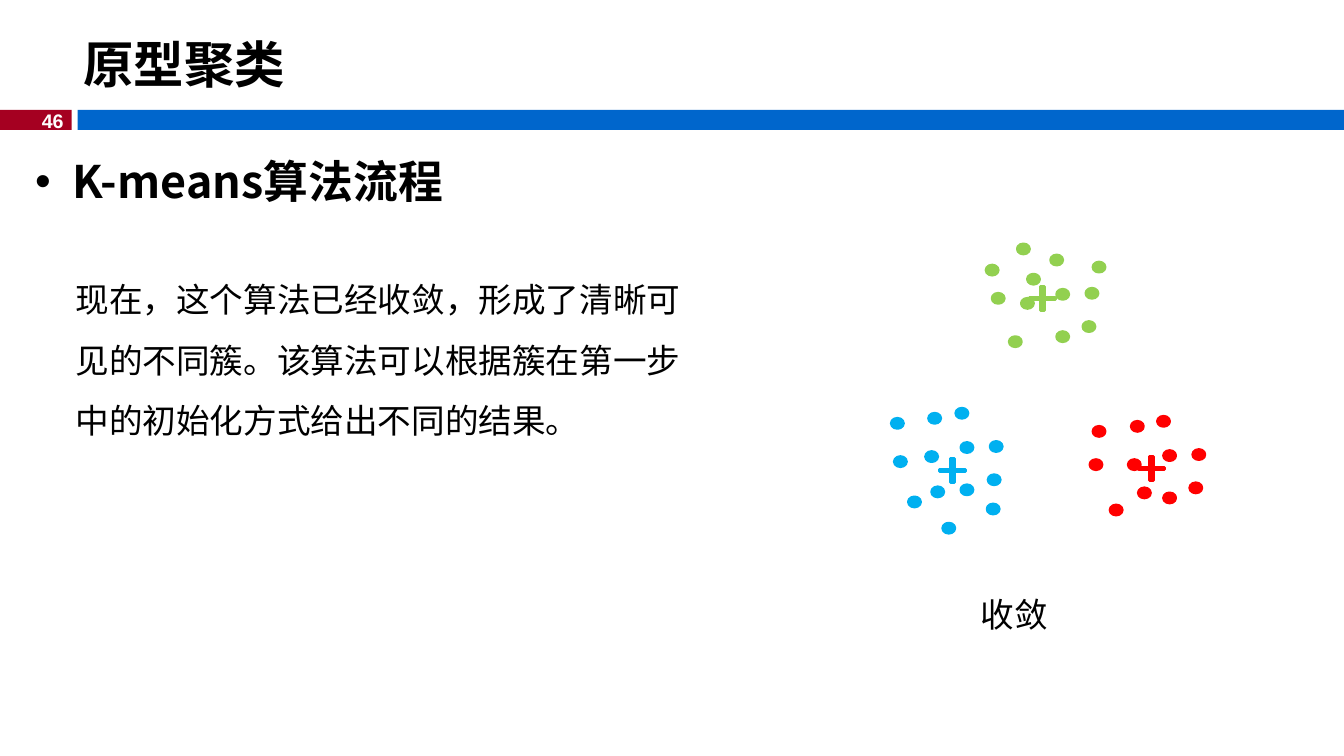
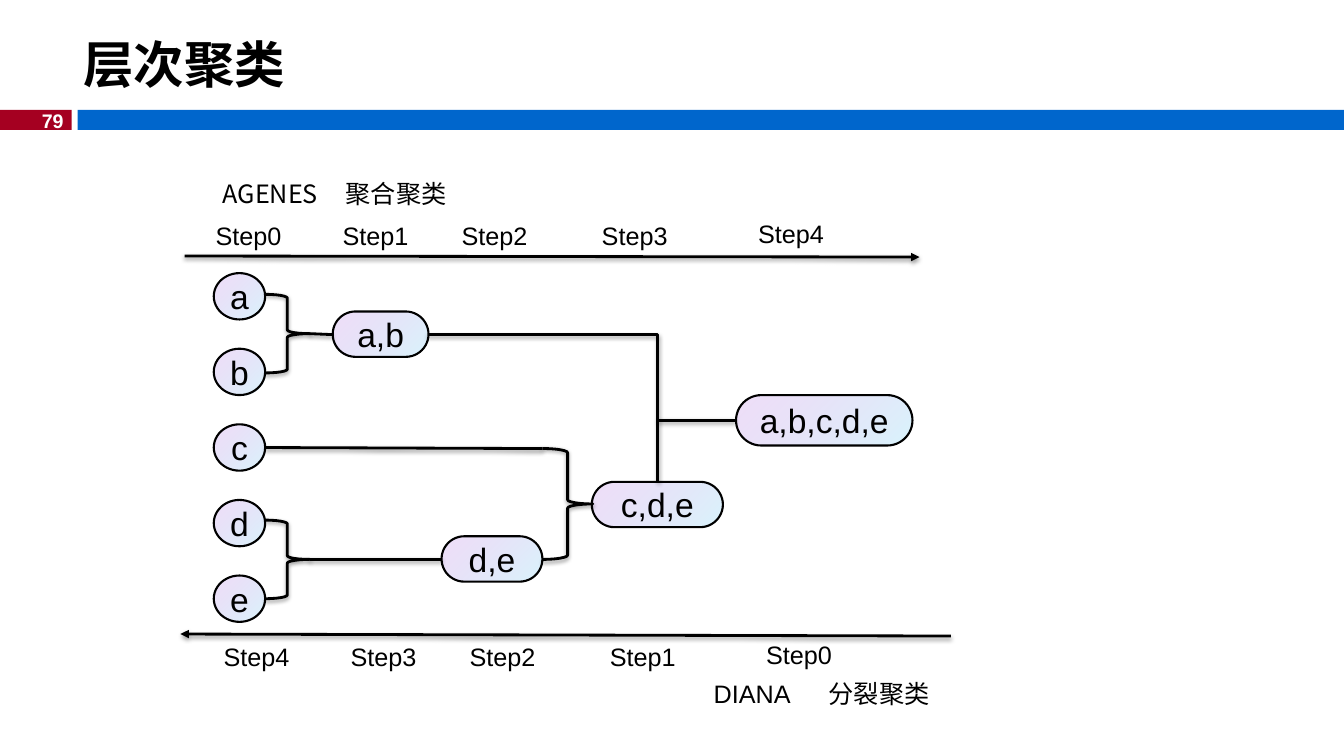
from typing import NamedTuple

from lxml import etree
from pptx import Presentation
from pptx.dml.color import RGBColor
from pptx.enum.shapes import MSO_CONNECTOR, MSO_SHAPE
from pptx.enum.text import MSO_ANCHOR, PP_ALIGN
from pptx.oxml.ns import qn
from pptx.util import Inches, Pt

COLORS = {
    "black": "000000",
    "white": "FFFFFF",
    "page_tab": "A50021",
    "band": "0066CC",
    "blue": "00B0F0",
    "green": "92D050",
    "red": "FF0000",
    "node_cyan": "69D4F4",
    "node_violet": "9F39D5",
}
LATIN = "Arial"
CJK = "Noto Sans CJK SC"


class Box(NamedTuple):
    left: float
    top: float
    width: float
    height: float


class Style(NamedTuple):
    size: float
    font: str = LATIN
    bold: bool = False
    color: str = "black"
    align: PP_ALIGN = PP_ALIGN.LEFT


class Cluster(NamedTuple):
    color: str
    center: tuple[float, float]
    points: list[tuple[float, float]]


class Node(NamedTuple):
    label: str
    box: Box
    outline: MSO_SHAPE = MSO_SHAPE.ROUNDED_RECTANGLE


class Link(NamedTuple):
    start: tuple[float, float]
    end: tuple[float, float]
    arrow: bool = False
    elbow: bool = False


class StepAxis(NamedTuple):
    arrow: Link
    lefts: list[float]
    top: float
    labels: list[str]


TITLE = Style(36, CJK, True)
HEADING = Style(32, CJK, True)
BODY = Style(24)
LABEL = Style(18)
PAGE = Style(14, LATIN, True, "white", PP_ALIGN.RIGHT)
NODE = Style(24, align=PP_ALIGN.CENTER)

DOT_SIZE = (0.12, 0.1)
PLUS_SIZE = (0.26, 0.24)
CLUSTERS = [
    Cluster("blue", (9.32, 4.55), [
        (9.21, 4.1), (9.48, 4.05), (8.84, 4.15), (9.18, 4.48), (9.53, 4.81),
        (9.82, 4.38), (9.35, 5.19), (9.8, 4.71), (9.79, 5), (9.53, 4.39),
        (9.01, 4.93), (8.87, 4.53), (9.24, 4.83)]),
    Cluster("green", (10.21, 2.84), [
        (10.09, 2.42), (10.42, 2.53), (9.78, 2.63), (10.13, 2.96), (10.48, 3.29),
        (10.77, 2.86), (10.84, 2.6), (10.74, 3.19), (9.84, 2.91), (10.48, 2.87),
        (10.01, 3.34), (10.19, 2.72)]),
    Cluster("red", (11.29, 4.53), [
        (11.22, 4.18), (11.48, 4.13), (10.84, 4.23), (11.19, 4.56), (11.54, 4.89),
        (11.83, 4.46), (11.29, 4.84), (11.8, 4.79), (10.81, 4.56), (11.54, 4.47),
        (11.01, 5.01)]),
]

LEAF_TOP, LEAF_PITCH = 2.71, 0.75
LEAVES = [
    Node(letter, Box(2.12, LEAF_TOP + LEAF_PITCH * row, 0.51, 0.46), MSO_SHAPE.OVAL)
    for row, letter in enumerate("abcde")
]
MERGED = [
    Node("a,b", Box(3.3, 3.09, 0.95, 0.45)),
    Node("d,e", Box(4.38, 5.32, 1, 0.45)),
    Node("c,d,e", Box(5.87, 4.78, 1.3, 0.45)),
    Node("a,b,c,d,e", Box(7.3, 3.92, 1.75, 0.5)),
]
BRACES = [Box(2.63, 2.92, 0.44, 0.78), Box(2.63, 5.16, 0.44, 0.78), Box(5.38, 4.45, 0.5, 1.1)]
LINKS = [
    Link((3.07, 3.31), (3.3, 3.32)),
    Link((3.07, 5.55), (4.38, 5.55)),
    Link((2.63, 4.44), (5.38, 4.45)),
    Link((4.24, 3.32), (6.52, 4.78), elbow=True),
    Link((7.3, 4.17), (6.53, 4.17)),
]
STEP_LEFTS = [2.04, 3.3, 4.48, 5.87, 7.42]
STEPS = [f"Step{number}" for number in range(5)]
AXES = [
    StepAxis(Link((1.83, 2.54), (9.12, 2.55), arrow=True), STEP_LEFTS, 2.14, STEPS),
    StepAxis(Link((9.43, 6.31), (1.79, 6.29), arrow=True),
             [left + 0.08 for left in STEP_LEFTS], 6.31, STEPS[::-1]),
]
METHOD_LABELS = [
    ("AGENES", Box(2.11, 1.72, 1.24, 0.4), Style(18, CJK)),
    ("聚合聚类", Box(3.33, 1.72, 1.66, 0.4), Style(18, CJK)),
    ("DIANA", Box(6.98, 6.68, 1.24, 0.4), LABEL),
    ("分裂聚类", Box(8.12, 6.68, 1.66, 0.4), LABEL),
]


def rgb(color: str) -> RGBColor:
    return RGBColor.from_string(COLORS[color])


def inches(values) -> list:
    return [Inches(value) for value in values]


def write(frame, text: str, style: Style) -> None:
    frame.text = text
    paragraph = frame.paragraphs[0]
    paragraph.alignment = style.align
    for run in paragraph.runs:
        run.font.size = Pt(style.size)
        run.font.bold = style.bold
        run.font.name = style.font
        run.font.color.rgb = rgb(style.color)
        latin = run.font._element.find(qn("a:latin"))
        east_asian = etree.Element(qn("a:ea"), typeface=CJK)
        latin.addnext(east_asian)


def add_text(slide, text: str, box: Box, style: Style, wrap: bool = True):
    frame = slide.shapes.add_textbox(*inches(box)).text_frame
    frame.word_wrap = wrap
    write(frame, text, style)
    return frame


def add_filled(slide, outline: MSO_SHAPE, box: Box, color: str, line_width: float = 0):
    shape = slide.shapes.add_shape(outline, *inches(box))
    shape.shadow.inherit = False
    shape.fill.solid()
    shape.fill.fore_color.rgb = rgb(color)
    if line_width:
        shape.line.color.rgb = rgb(color)
        shape.line.width = Pt(line_width)
    else:
        shape.line.fill.background()
    return shape


def ink_with_shadow(shape) -> None:
    """Give a line or brace its black stroke and soft shadow below."""
    shape.line.color.rgb = rgb("black")
    shape.line.width = Pt(2)
    effects = etree.SubElement(shape._element.spPr, qn("a:effectLst"))
    shadow = etree.SubElement(
        effects, qn("a:outerShdw"), blurRad=str(Pt(3.1)), dist=str(Pt(1.6)),
        dir="5400000", rotWithShape="0")
    tint = etree.SubElement(shadow, qn("a:srgbClr"), val=COLORS["black"])
    etree.SubElement(tint, qn("a:alpha"), val="38000")


def add_link(slide, link: Link) -> None:
    kind = MSO_CONNECTOR.ELBOW if link.elbow else MSO_CONNECTOR.STRAIGHT
    connector = slide.shapes.add_connector(kind, *inches(link.start + link.end))
    ink_with_shadow(connector)
    properties = connector._element.spPr
    if link.elbow:
        properties.find(qn("a:prstGeom")).set("prst", "bentConnector2")
    if link.arrow:
        etree.SubElement(properties.find(qn("a:ln")), qn("a:tailEnd"), type="triangle")


def add_brace(slide, box: Box) -> None:
    brace = slide.shapes.add_shape(MSO_SHAPE.RIGHT_BRACE, *inches(box))
    brace.fill.background()
    ink_with_shadow(brace)


def add_node(slide, node: Node) -> None:
    shape = slide.shapes.add_shape(node.outline, *inches(node.box))
    shape.shadow.inherit = False
    if node.outline == MSO_SHAPE.ROUNDED_RECTANGLE:
        shape.adjustments[0] = 0.5
    shape.fill.gradient()
    shape.fill.gradient_angle = 135
    stops = shape.fill.gradient_stops
    for stop, color, position in zip(stops, ("node_cyan", "node_violet"), (0, 1)):
        stop.color.rgb = rgb(color)
        stop.position = position
    gradient = shape._element.spPr.find(qn("a:gradFill"))
    for tint, alpha in zip(gradient.iter(qn("a:srgbClr")), ("26000", "17000")):
        etree.SubElement(tint, qn("a:alpha"), val=alpha)
    shape.line.color.rgb = rgb("black")
    shape.line.width = Pt(1.5)
    frame = shape.text_frame
    frame.margin_left = frame.margin_right = frame.margin_top = frame.margin_bottom = 0
    frame.vertical_anchor = MSO_ANCHOR.MIDDLE
    frame.word_wrap = False
    write(frame, node.label, NODE)


def add_cluster(slide, cluster: Cluster) -> None:
    for point in cluster.points:
        add_filled(slide, MSO_SHAPE.OVAL, Box(*point, *DOT_SIZE), cluster.color, 2)
    centroid = add_filled(
        slide, MSO_SHAPE.CROSS, Box(*cluster.center, *PLUS_SIZE), cluster.color, 2)
    centroid.adjustments[0] = 0.454


def add_axis(slide, axis: StepAxis) -> None:
    add_link(slide, axis.arrow)
    for left, label in zip(axis.lefts, axis.labels):
        lift = 0.02 if left == axis.lefts[-1] else 0
        add_text(slide, label, Box(left, axis.top - lift, 1, 0.36), LABEL)


def add_page(deck, title: str, number: int):
    """Add a slide with its title, band and page number."""
    slide = deck.slides.add_slide(deck.slide_layouts[6])
    add_filled(slide, MSO_SHAPE.RECTANGLE, Box(0, 1.09, 0.71, 0.2), "page_tab")
    add_filled(slide, MSO_SHAPE.RECTANGLE, Box(0.77, 1.09, 12.56, 0.2), "band")
    add_text(slide, str(number), Box(0.29, 1.03, 0.44, 0.34), PAGE, wrap=False)
    heading = add_text(slide, title, Box(0.73, 0.26, 12.6, 0.74), TITLE)
    heading.vertical_anchor = MSO_ANCHOR.MIDDLE
    return slide


def add_bullet_heading(slide, text: str, box: Box) -> None:
    paragraph = add_text(slide, text, box, HEADING).paragraphs[0]
    properties = paragraph._p.get_or_add_pPr()
    properties.set("marL", str(Inches(0.37)))
    properties.set("indent", str(Inches(-0.37)))
    etree.SubElement(properties, qn("a:buFont"), typeface=LATIN)
    etree.SubElement(properties, qn("a:buChar"), char="•")


def build_kmeans(deck) -> None:
    slide = add_page(deck, "原型聚类", 46)
    add_bullet_heading(slide, "K-means算法流程", Box(0.25, 1.48, 12, 0.94))
    explanation = add_text(
        slide,
        "现在，这个算法已经收敛，形成了清晰可见的不同簇。"
        "该算法可以根据簇在第一步中的初始化方式给出不同的结果。",
        Box(0.65, 2.52, 6.36, 1.85), BODY)
    explanation.paragraphs[0].line_spacing = 1.5
    for cluster in CLUSTERS:
        add_cluster(slide, cluster)
    add_text(slide, "收敛", Box(9.63, 5.84, 1.93, 0.5), BODY)


def build_hierarchy(deck) -> None:
    slide = add_page(deck, "层次聚类", 79)
    for text, box, style in METHOD_LABELS:
        add_text(slide, text, box, style)
    for node in LEAVES + MERGED:
        add_node(slide, node)
    for brace in BRACES:
        add_brace(slide, brace)
    for link in LINKS:
        add_link(slide, link)
    for axis in AXES:
        add_axis(slide, axis)


def main() -> None:
    deck = Presentation()
    deck.slide_width, deck.slide_height = Inches(13.33), Inches(7.5)
    build_kmeans(deck)
    build_hierarchy(deck)
    deck.save("out.pptx")


if __name__ == "__main__":
    main()
